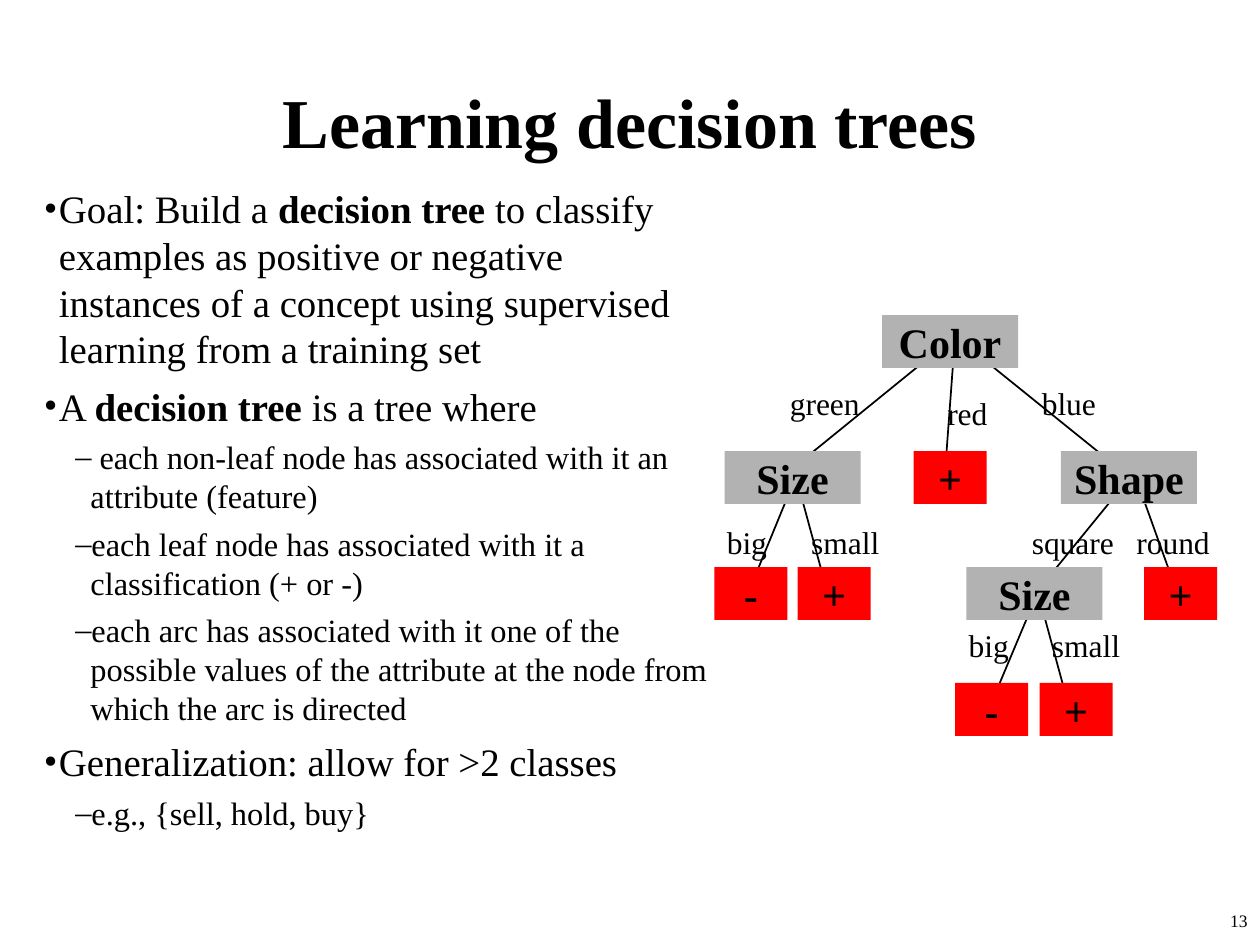
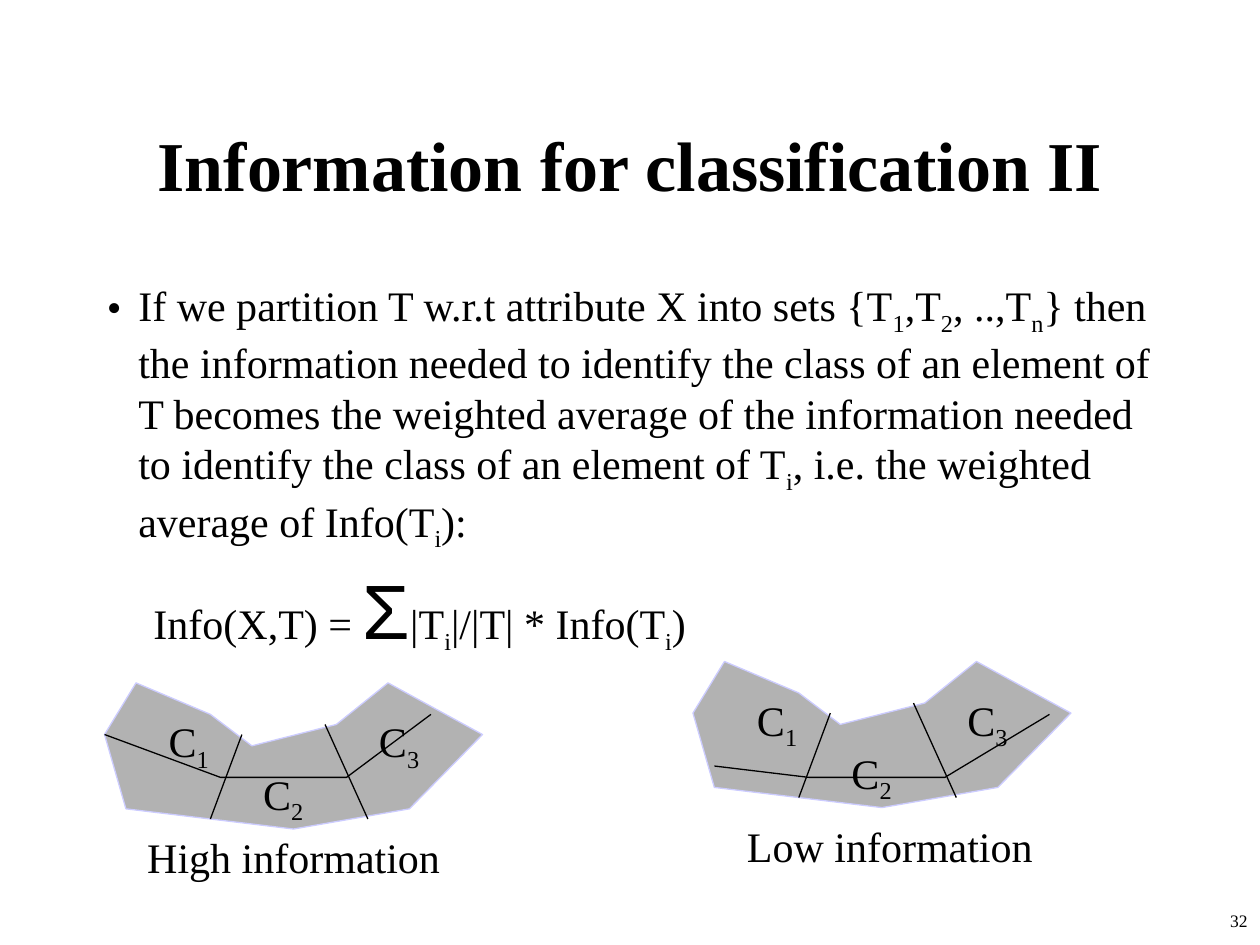
from lxml.etree import SubElement
from pptx import Presentation
from pptx.dml.color import RGBColor
from pptx.enum.shapes import MSO_CONNECTOR, MSO_SHAPE
from pptx.enum.text import MSO_ANCHOR, PP_ALIGN
from pptx.oxml.ns import qn
from pptx.util import Inches, Pt

hue = RGBColor.from_string
BLACK, GRAY, RED, LILAC = "000000", "B2B2B2", "FF0000", "CCCCFF"
SERIF = "Times New Roman"


def write(shape, text, size, bold=False, align=PP_ALIGN.LEFT, wrap=False):
    frame = shape.text_frame
    frame.word_wrap = wrap
    para = frame.add_paragraph() if frame.text else frame.paragraphs[0]
    para.alignment = align
    font = para.font
    font.name, font.size, font.bold = SERIF, Pt(size), bold
    font.color.rgb = hue(BLACK)
    for i, part in enumerate(text.split("~")):
        run = para.add_run()
        run.text = part
        if i % 2 == 0:
            continue
        if part == "Σ":
            run.font.name, run.font.size = "Arial", Pt(44)
        elif len(part) == 1:
            run.font._element.set("baseline", "-25000")
        else:
            run.font.bold = True
    return para


def draw_line(slide, ends, width):
    wire = slide.shapes.add_connector(MSO_CONNECTOR.STRAIGHT, *map(Inches, ends))
    wire.line.color.rgb = hue(BLACK)
    wire.line.width = Pt(width)
    SubElement(wire._element.spPr, qn("a:effectLst"))


deck = Presentation()
deck.slide_width, deck.slide_height = Inches(10), Inches(7.5)

main = (22.2, 0.12, -0.12, 6, "•")
sub = (18.5, 0.37, -0.12, 5, "–")
goals = [
    ("Goal: Build a ~decision tree~ to classify examples as positive or negative "
     "instances of a concept using supervised learning from a training set", main),
    ("A ~decision tree~ is a tree where", main),
    (" each non-leaf node has associated with it an attribute (feature)", sub),
    ("each leaf node has associated with it a classification (+ or -)", sub),
    ("each arc has associated with it one of the possible values of the attribute "
     "at the node from which the arc is directed", sub),
    ("Generalization: allow for >2 classes", main),
    ("e.g., {sell, hold, buy}", sub),
]
parts = [
    ("If we partition T w.r.t attribute X into sets {T~1~,T~2~, ..,T~n~} then the "
     "information needed to identify the class of an element of T becomes the "
     "weighted average of the information needed to identify the class of an "
     "element of T~i~, i.e. the weighted average of Info(T~i~):",
     (24, 0.25, -0.25, 6, "•")),
    ("Info(X,T) = ~Σ~|T~i~|/|T| * Info(T~i~)", (24, 0.62, -0.25, 6, None)),
]
pages = [
    ("Learning decision trees", 0.33, "13", (0.25, 1.42, 5.5, 5.25), goals),
    ("Information for classification II", 0.67, "32", (0.75, 2.17, 8.5, 4.5), parts),
]

for title, top, number, area, rows in pages:
    slide = deck.slides.add_slide(deck.slide_layouts[6])
    head = slide.shapes.add_textbox(*map(Inches, (0.75, top, 8.5, 1.25)))
    head.text_frame.vertical_anchor = MSO_ANCHOR.MIDDLE
    write(head, title, 40, True, PP_ALIGN.CENTER, True)
    body = slide.shapes.add_textbox(*map(Inches, area))
    for text, (size, left, hang, space, mark) in rows:
        para = write(body, text, size, wrap=True)
        para.space_before = Pt(space)
        props = para._p.get_or_add_pPr()
        props.set("marL", str(Inches(left)))
        props.set("indent", str(Inches(hang)))
        if mark:
            base = props.find(qn("a:defRPr"))
            for tag, key, value in (("a:buFont", "typeface", SERIF),
                                    ("a:buChar", "char", mark)):
                base.addprevious(props.makeelement(qn(tag), {key: value}))
    foot = slide.shapes.add_textbox(*map(Inches, (7.92, 7.17, 2.08, 0.33)))
    write(foot, number, 10, align=PP_ALIGN.RIGHT, wrap=True)

tree, info = deck.slides

arcs = [
    (7.58, 2.67, 6.25, 3.75), (7.58, 2.67, 7.5, 3.75), (7.58, 2.67, 8.92, 3.75),
    (6.33, 3.75, 5.92, 4.75), (6.33, 3.83, 6.58, 4.75),
    (8.25, 4.67, 7.83, 5.67), (8.25, 4.75, 8.5, 5.67),
    (9, 3.75, 8.25, 4.67), (9, 3.75, 9.33, 4.67),
]
for arc in arcs:
    draw_line(tree, arc, 1)

nodes = [
    ("Color", 7, 2.5), ("Shape", 8.42, 3.58), ("Size", 5.75, 3.58), ("+", 7.25, 3.58),
    ("+", 6.33, 4.5), ("-", 5.67, 4.5), ("Size", 7.67, 4.5),
    ("+", 8.25, 5.42), ("-", 7.58, 5.42), ("+", 9.08, 4.5),
]
for text, x, y in nodes:
    leaf = text in "+-"
    size = (0.58 if leaf else 1.08, 0.42)
    node = tree.shapes.add_shape(MSO_SHAPE.RECTANGLE, *map(Inches, (x, y, *size)))
    node.shadow.inherit = False
    node.fill.solid()
    node.fill.fore_color.rgb = hue(RED if leaf else GRAY)
    node.line.fill.background()
    node.text_frame.vertical_anchor = MSO_ANCHOR.MIDDLE
    write(node, text, 24, True, PP_ALIGN.CENTER)

values = [
    ("big", 7.59, 4.92, 0.54), ("big", 5.67, 4.1, 0.54),
    ("small", 6.34, 4.1, 0.77), ("small", 8.25, 4.92, 0.77),
    ("round", 8.92, 4.1, 0.81), ("square", 8.09, 4.1, 0.88),
    ("red", 7.42, 3.08, 0.54), ("green", 6.17, 3, 0.78), ("blue", 8.17, 3, 0.66),
]
for text, x, y, width in values:
    write(tree.shapes.add_textbox(*map(Inches, (x, y, width, 0.4))), text, 18)

blob = [
    (1.67, 5.67), (1.08, 5.42), (0.83, 5.83), (1, 6.42), (2.33, 6.58),
    (3.25, 6.42), (3.83, 5.83), (3.08, 5.42), (2.67, 5.75), (2, 5.92),
]
sets = [("C~1~", 1.24, 5.63), ("C~2~", 1.99, 6.05), ("C~3~", 2.91, 5.63)]
cuts = [(1.92, 5.83, 1.67, 6.5), (2.58, 5.75, 2.92, 6.5)]
high = [(0.83, 5.83), (1.75, 6.17), (2.75, 6.17), (3.42, 5.67)]
low = [(5.67, 6.08), (6.42, 6.17), (7.5, 6.17), (8.33, 5.67)]
plots = [
    (0, 0, high, "High information", (1.07, 6.55, 2.58, 0.5)),
    (4.67, -0.17, low, "Low information", (5.83, 6.46, 2.53, 0.5)),
]
for dx, dy, bend, label, place in plots:
    moved = [(x + dx, y + dy) for x, y in blob]
    for points, closed in ((moved, True), (bend, False)):
        spots = [(Inches(x), Inches(y)) for x, y in points]
        pen = info.shapes.build_freeform(*spots[0])
        pen.add_line_segments(spots[1:], close=closed)
        form = pen.convert_to_shape()
        form.shadow.inherit = False
        form.line.width = Pt(0.75)
        form.line.color.rgb = hue(LILAC if closed else BLACK)
        if closed:
            form.fill.solid()
            form.fill.fore_color.rgb = hue(GRAY)
        else:
            form.fill.background()
    for text, x, y in sets:
        box = info.shapes.add_textbox(*map(Inches, (x + dx, y + dy, 0.54, 0.56)))
        write(box, text, 24)
    for x1, y1, x2, y2 in cuts:
        draw_line(info, (x1 + dx, y1 + dy, x2 + dx, y2 + dy), 0.75)
    write(info.shapes.add_textbox(*map(Inches, place)), label, 24)

deck.save("out.pptx")
